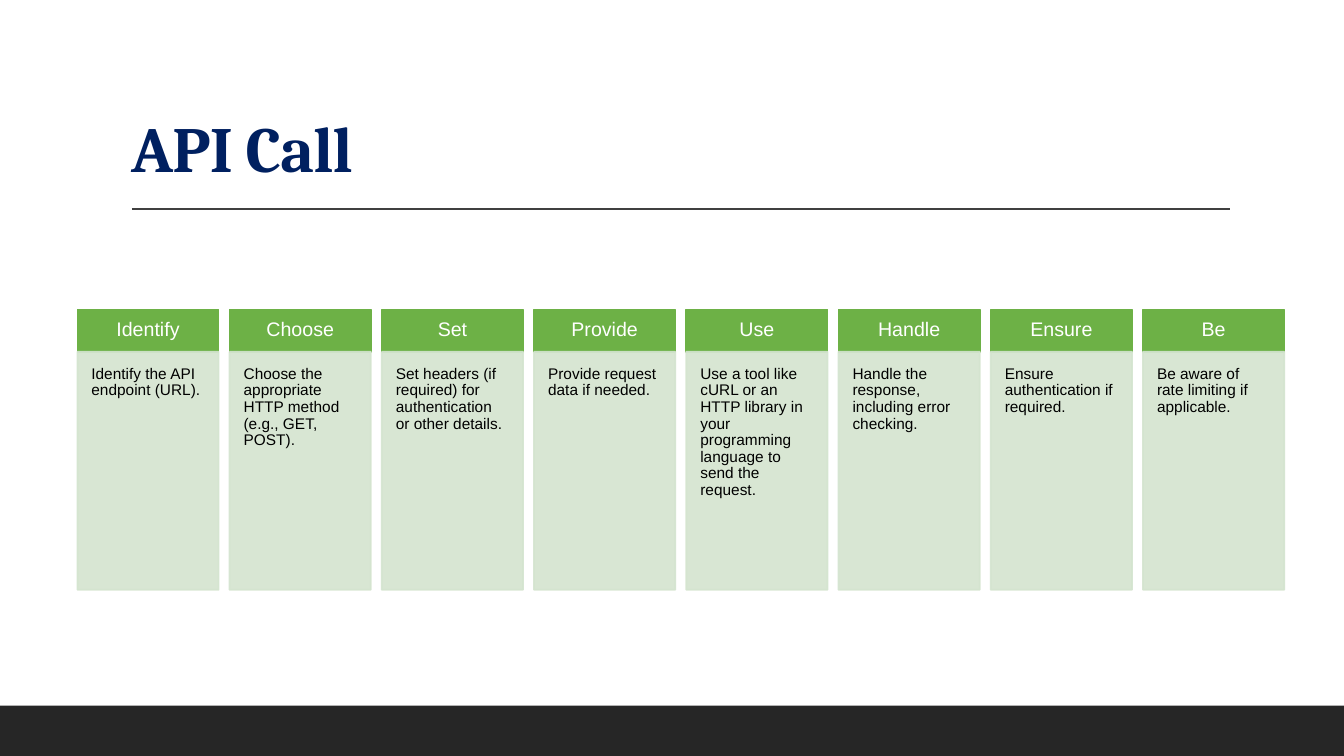
from lxml.etree import SubElement
from pptx import Presentation
from pptx.dml.color import RGBColor
from pptx.enum.shapes import MSO_CONNECTOR, MSO_SHAPE
from pptx.enum.text import MSO_ANCHOR, MSO_AUTO_SIZE, PP_ALIGN
from pptx.oxml.ns import qn
from pptx.util import Pt

# Content
TITLE = "API Call"
STEPS = [
    ("Identify", "Identify the API endpoint (URL)."),
    ("Choose", "Choose the appropriate HTTP method (e.g., GET, POST)."),
    ("Set", "Set headers (if required) for authentication or other details."),
    ("Provide", "Provide request data if needed."),
    ("Use", "Use a tool like cURL or an HTTP library in your programming language to send the request."),
    ("Handle", "Handle the response, including error checking."),
    ("Ensure", "Ensure authentication if required."),
    ("Be", "Be aware of rate limiting if applicable."),
]

COLORS = {
    "title": "002060",
    "rule": "404040",
    "footer": "262626",
    "header": "6DB146",
    "body": "D4E4CF",
    "header_text": "FFFFFF",
    "body_text": "000000",
}

# Layout in points
SLIDE_WIDTH, SLIDE_HEIGHT = 960, 540
FOOTER_HEIGHT = 36
COLUMN_LEFT, COLUMN_TOP = 55.3, 221
COLUMN_WIDTH, COLUMN_PITCH = 100.9, 108.74
HEADER_HEIGHT, BODY_HEIGHT = 30.3, 170


def color(name):
    return RGBColor.from_string(COLORS[name])


def set_text(shape, text, *, font, size, fill, bold=False, align=PP_ALIGN.LEFT,
             anchor=MSO_ANCHOR.TOP, margins=(7.2, 3.6), spacing=None):
    frame = shape.text_frame
    frame.word_wrap = True
    frame.auto_size = MSO_AUTO_SIZE.NONE
    frame.vertical_anchor = anchor
    frame.margin_left = frame.margin_right = Pt(margins[0])
    frame.margin_top = frame.margin_bottom = Pt(margins[1])
    paragraph = frame.paragraphs[0]
    paragraph.alignment = align
    paragraph.line_spacing = 0.9
    paragraph.space_before = Pt(0)
    run = paragraph.add_run()
    run.text = text
    run.font.name = font
    run.font.size = Pt(size)
    run.font.bold = bold
    run.font.color.rgb = color(fill)
    if spacing is not None:
        run.font._element.set("spc", str(round(spacing * 100)))


def add_box(slide, left, top, width, height, fill, *, outlined=True, opacity=100):
    box = slide.shapes.add_shape(MSO_SHAPE.RECTANGLE, Pt(left), Pt(top), Pt(width), Pt(height))
    box.shadow.inherit = False
    box.fill.solid()
    box.fill.fore_color.rgb = color(fill)
    if outlined:
        box.line.color.rgb = color(fill)
        box.line.width = Pt(1.25)
    else:
        box.line.fill.background()
    if opacity < 100:
        for color_element in box._element.spPr.iter(qn("a:srgbClr")):
            SubElement(color_element, qn("a:alpha"), val=str(opacity * 1000))
    return box


def main():
    presentation = Presentation()
    presentation.slide_width = Pt(SLIDE_WIDTH)
    presentation.slide_height = Pt(SLIDE_HEIGHT)
    slide = presentation.slides.add_slide(presentation.slide_layouts[5])

    # Footer band and title rule
    add_box(slide, 0, SLIDE_HEIGHT - FOOTER_HEIGHT, SLIDE_WIDTH, FOOTER_HEIGHT,
            "footer", outlined=False)
    rule = slide.shapes.add_connector(MSO_CONNECTOR.STRAIGHT, Pt(94.3), Pt(149.4), Pt(878.8), Pt(149.4))
    rule.line.color.rgb = color("rule")
    rule.line.width = Pt(1)
    SubElement(rule._element.spPr, qn("a:effectLst"))

    # Title
    title = slide.shapes.title
    title.left, title.top, title.width, title.height = Pt(86.4), Pt(22.5), Pt(792), Pt(114.3)
    set_text(title, TITLE, font="Cambria", size=46, fill="title", bold=True,
             anchor=MSO_ANCHOR.BOTTOM, spacing=-0.5)

    # Step columns
    for index, (heading, detail) in enumerate(STEPS):
        left = COLUMN_LEFT + index * COLUMN_PITCH
        header = add_box(slide, left, COLUMN_TOP, COLUMN_WIDTH, HEADER_HEIGHT, "header")
        set_text(header, heading, font="Arial", size=14, fill="header_text",
                 align=PP_ALIGN.CENTER, anchor=MSO_ANCHOR.MIDDLE, margins=(8, 8))
        body = add_box(slide, left, COLUMN_TOP + HEADER_HEIGHT, COLUMN_WIDTH, BODY_HEIGHT,
                       "body", opacity=90)
        set_text(body, detail, font="Arial", size=11, fill="body_text", margins=(10, 10))

    presentation.save("out.pptx")


if __name__ == "__main__":
    main()
